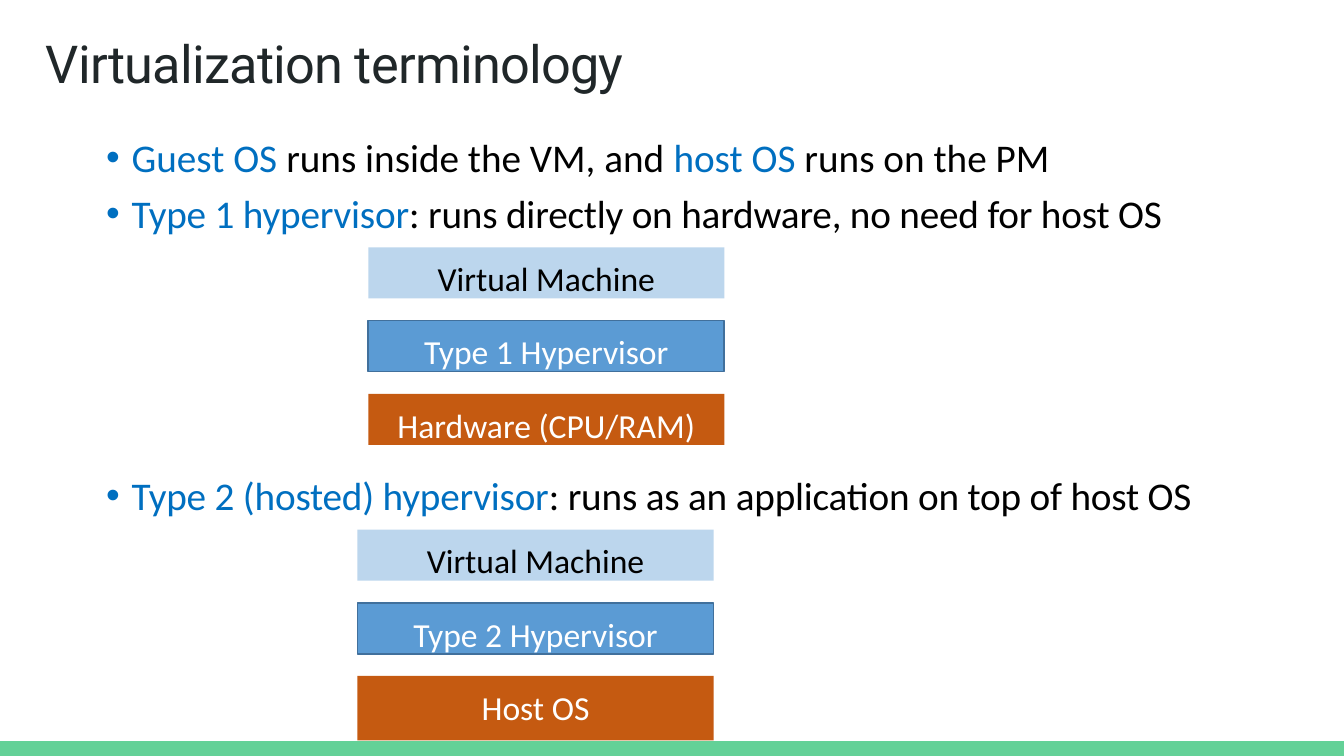
from pptx import Presentation
from pptx.dml.color import RGBColor
from pptx.enum.shapes import MSO_SHAPE
from pptx.enum.text import MSO_ANCHOR, MSO_AUTO_SIZE, PP_ALIGN
from pptx.oxml import parse_xml
from pptx.oxml.ns import nsdecls
from pptx.util import Inches, Pt

BLUE, BLACK, WHITE = "006FC0", "000000", "FFFFFF"


def setup_text(sp, top):
    tf = sp.text_frame
    tf.auto_size = MSO_AUTO_SIZE.NONE
    tf.word_wrap = True
    tf.vertical_anchor = MSO_ANCHOR.TOP
    tf.margin_left = tf.margin_right = tf.margin_bottom = 0
    tf.margin_top = Inches(top)
    return tf


def style_run(r, size, color, name="Calibri", spacing=0):
    r.font.size, r.font.name = Pt(size), name
    r.font.color.rgb = RGBColor.from_string(color)
    r.font._element.set("spc", str(spacing))


prs = Presentation()
prs.slide_width = Inches(10)
prs.slide_height = prs.slide_width * 9 // 16
s = prs.slides.add_slide(prs.slide_layouts[3])

# Footer band
bar_h = Inches(0.11)
sp = s.shapes.add_shape(MSO_SHAPE.RECTANGLE, 0, prs.slide_height - bar_h,
                        prs.slide_width, bar_h)
sp.shadow.inherit = False
sp.fill.solid()
sp.fill.fore_color.rgb = RGBColor.from_string("63D197")
sp.line.fill.background()

# Title
title = s.shapes.title
title.left, title.top = Inches(0.34), Inches(0.22)
title.width, title.height = Inches(5.9), Inches(0.49)
tf = setup_text(title, 0.01)
tf.text = "Virtualization terminology"
p = tf.paragraphs[0]
p.alignment = PP_ALIGN.LEFT
style_run(p.runs[0], 28, "202729", "Roboto", -40)

# Bullet lists: placeholder index, top, width, height, top inset,
# then letter spacing and coloured parts of each paragraph
lists = [
    (1, 0.91, 7.97, 0.86, 0.08, [
        (0, [("Guest OS ", BLUE), ("runs inside the VM, and ", BLACK),
             ("host OS ", BLUE), ("runs on the PM", BLACK)]),
        (-10, [("Type 1 hypervisor", BLUE),
               (": runs directly on hardware, no need for host OS", BLACK)]),
    ]),
    (2, 3.5, 8.2, 0.36, 0.01, [
        (-10, [("Type 2 (hosted) hypervisor", BLUE),
               (": runs as an application on top of host OS", BLACK)]),
    ]),
]
for idx, top, width, height, inset, paragraphs in lists:
    body = s.placeholders[idx]
    body.left, body.top = Inches(0.78), Inches(top)
    body.width, body.height = Inches(width), Inches(height)
    tf = setup_text(body, inset)
    for i, (spacing, parts) in enumerate(paragraphs):
        p = tf.paragraphs[0] if i == 0 else tf.add_paragraph()
        pPr = p._p.get_or_add_pPr()
        pPr.set("marL", str(Inches(0.2)))
        pPr.set("indent", str(Inches(-0.19)))
        pPr.append(parse_xml(f'<a:buChar {nsdecls("a")} char="•"/>'))
        p.line_spacing = 1.0
        p.space_before = Pt(5.1 if i else 0)
        for text, color in parts:
            r = p.add_run()
            r.text = text
            style_run(r, 21, color, spacing=spacing)

# Layer stacks: left, top, then label and height of each layer
pitch = 1.09 / 2
styles = [("BCD6ED", None, BLACK), ("5B9BD4", "41709C", WHITE),
          ("C55A11", None, WHITE)]
stacks = [
    (2.74, 1.84, [("Virtual Machine", 0.38), ("Type 1 Hypervisor", 0.38),
                  ("Hardware (CPU/RAM)", 0.38)]),
    (2.66, 3.94, [("Virtual Machine", 0.38), ("Type 2 Hypervisor", 0.38),
                  ("Host OS", 0.48)]),
]
for left, top, layers in stacks:
    for row, ((label, height), (fill, line, color)) in enumerate(zip(layers, styles)):
        sp = s.shapes.add_shape(MSO_SHAPE.RECTANGLE, Inches(left),
                                Inches(top + row * pitch), Inches(2.65), Inches(height))
        sp.shadow.inherit = False
        sp.fill.solid()
        sp.fill.fore_color.rgb = RGBColor.from_string(fill)
        if line:
            sp.line.color.rgb = RGBColor.from_string(line)
            sp.line.width = Pt(0.96)
        else:
            sp.line.fill.background()
        tf = setup_text(sp, 0.08)
        tf.text = label
        p = tf.paragraphs[0]
        p.alignment = PP_ALIGN.CENTER
        style_run(p.runs[0], 18, color)

prs.save("out.pptx")
